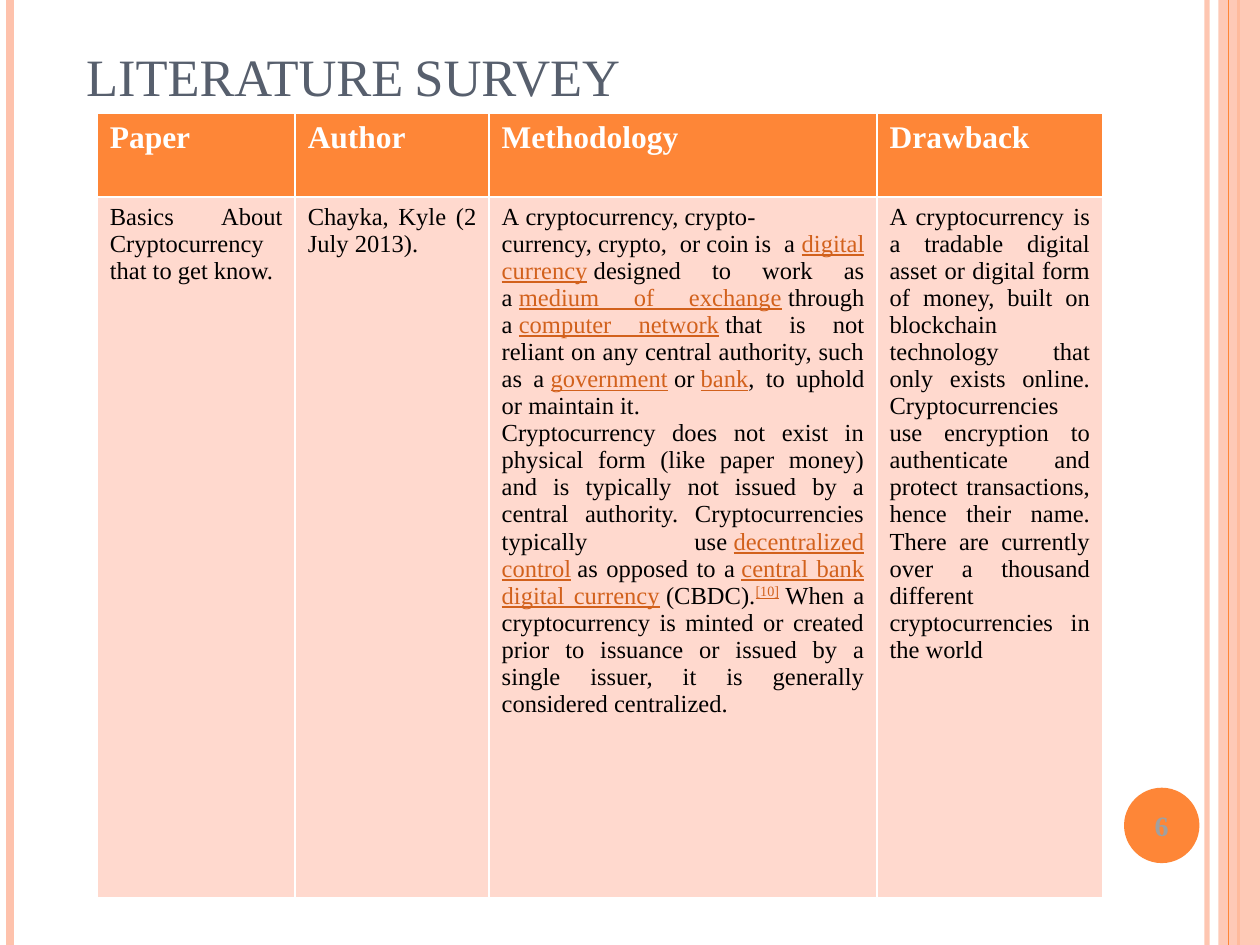
from dataclasses import dataclass

from lxml import etree
from pptx import Presentation
from pptx import util as u
from pptx.dml.color import RGBColor
from pptx.enum import shapes, text
from pptx.oxml.ns import qn

COLORS = {
    "orange": "FE8637", "peach": "FEC2AC", "pale": "FFD9CE", "white": "FFFFFF",
    "black": "000000", "slate": "575F6D", "link": "D2611C", "grey": "A0A0A0",
}
FONT = "Times New Roman"
WIDTH, HEIGHT = u.Cm(25.4), u.Cm(19.05)
HARD_SPACE = chr(160)


@dataclass
class Stripe:
    x: float
    points: float
    color: str
    opacity: int = 100


@dataclass
class Block:
    kind: shapes.MSO_SHAPE
    x: float
    y: float
    w: float
    h: float
    color: str
    opacity: int = 100


@dataclass
class Column:
    """Body paragraphs hold links between pairs of bars; ~ is a hard space."""
    heading: str
    width: float
    body: list[str]


DECORATION = [
    Stripe(24.33, 3, "peach", 93),
    Stripe(0.2, 4.5, "peach"),
    Stripe(24.97, 1.5, "orange"),
    Block(shapes.MSO_SHAPE.RECTANGLE, 24.56, 0, 0.84, 19.05, "peach", 87),
    Stripe(24.77, 0.75, "orange"),
]
BADGE = Block(shapes.MSO_SHAPE.OVAL, 22.66, 15.88, 1.52, 1.52, "orange")

COLUMNS = [
    Column("Paper", 3.99, ["Basics About Cryptocurrency that to get know."]),
    Column("Author", 3.91, ["Chayka, Kyle (2 July 2013)."]),
    Column("Methodology", 7.82, [
        "A~cryptocurrency,~crypto-currency,~crypto, or~coin~is a~|digital currency"
        "|~designed to work as a~|medium of exchange|~through a~|computer network"
        "|~that is not reliant on any central authority, such as a~|government"
        "|~or~|bank|, to uphold or maintain it.",
        "Cryptocurrency does not exist in physical form (like paper money) and is "
        "typically not issued by a central authority. Cryptocurrencies typically "
        "use~|decentralized control|~as opposed to a~|central bank digital currency"
        "|~(CBDC).|[10]|~When a cryptocurrency is minted or created prior to "
        "issuance or issued by a single issuer, it is generally considered "
        "centralized.",
    ]),
    Column("Drawback", 4.55, [
        "A cryptocurrency is a tradable digital asset or digital form of money, "
        "built on blockchain technology that only exists online. Cryptocurrencies "
        "use encryption to authenticate and protect transactions, hence their "
        "name. There are currently over a thousand different cryptocurrencies in "
        "the world",
    ]),
]
ROW_HEIGHTS = [1.68, 14.12]


def rgb(name: str) -> RGBColor:
    return RGBColor.from_string(COLORS[name])


def set_opacity(sp, percent: int) -> None:
    if percent < 100:
        color = next(sp._element.spPr.iter(qn("a:srgbClr")))
        etree.SubElement(color, qn("a:alpha")).set("val", str(percent * 1000))


def add_stripe(slide, stripe: Stripe) -> None:
    x = u.Cm(stripe.x)
    sp = slide.shapes.add_connector(shapes.MSO_CONNECTOR.STRAIGHT, x, 0, x, HEIGHT)
    sp.line.color.rgb = rgb(stripe.color)
    sp.line.width = u.Pt(stripe.points)
    set_opacity(sp, stripe.opacity)
    etree.SubElement(sp._element.spPr, qn("a:effectLst"))


def add_block(slide, block: Block):
    box = (u.Cm(v) for v in (block.x, block.y, block.w, block.h))
    sp = slide.shapes.add_shape(block.kind, *box)
    sp.shadow.inherit = False
    sp.fill.solid()
    sp.fill.fore_color.rgb = rgb(block.color)
    sp.line.fill.background()
    set_opacity(sp, block.opacity)
    return sp


def add_run(p, words: str, size: float, color: str, **formats):
    r = p.add_run()
    r.text = words
    for name, value in {"name": FONT, "size": u.Pt(size), **formats}.items():
        setattr(r.font, name, value)
    r.font.color.rgb = rgb(color)
    return r


def add_linked_text(p, words: str) -> None:
    """Every second part between bars is a link; a bracketed one is raised."""
    for i, part in enumerate(words.replace("~", HARD_SPACE).split("|")):
        if i % 2 == 0:
            add_run(p, part, 14, "black", bold=False)
            continue
        r = add_run(p, part, 14, "link", bold=False, underline=True)
        if part.startswith("["):
            r._r.get_or_add_rPr().set("baseline", "30000")


def fill_cell(cell, color: str) -> None:
    cell.fill.solid()
    cell.fill.fore_color.rgb = rgb(color)


def add_survey_table(slide) -> None:
    """The default table style supplies the white rules between cells."""
    total = u.Cm(sum(c.width for c in COLUMNS))
    table = slide.shapes.add_table(
        len(ROW_HEIGHTS), len(COLUMNS), u.Cm(1.96), u.Cm(2.29),
        total, u.Cm(sum(ROW_HEIGHTS))).table
    for row, height in zip(table.rows, ROW_HEIGHTS):
        row.height = u.Cm(height)
    for i, column in enumerate(COLUMNS):
        table.columns[i].width = u.Cm(column.width)
        head, body = table.cell(0, i), table.cell(1, i)
        fill_cell(head, "orange")
        fill_cell(body, "pale")
        add_run(head.text_frame.paragraphs[0], column.heading, 18, "white", bold=True)
        for n, words in enumerate(column.body):
            tf = body.text_frame
            add_linked_text(tf.add_paragraph() if n else tf.paragraphs[0], words)
        for p in (*head.text_frame.paragraphs, *body.text_frame.paragraphs):
            p.alignment = text.PP_ALIGN.JUSTIFY


def add_title(slide) -> None:
    title = slide.shapes.title
    box = {"left": 1.48, "top": 0.71, "width": 20.75, "height": 1.57}
    for name, value in box.items():
        setattr(title, name, u.Cm(value))
    tf = title.text_frame
    tf.auto_size = text.MSO_AUTO_SIZE.NONE
    tf.vertical_anchor = text.MSO_ANCHOR.BOTTOM
    p = tf.paragraphs[0]
    p.alignment = text.PP_ALIGN.LEFT
    r = add_run(p, "LITERATURE SURVEY", 30, "slate")
    r._r.get_or_add_rPr().set("cap", "small")


def add_page_badge(slide) -> None:
    tf = add_block(slide, BADGE).text_frame
    tf.vertical_anchor = text.MSO_ANCHOR.MIDDLE
    p = tf.paragraphs[0]
    p.alignment = text.PP_ALIGN.CENTER
    add_run(p, "6", 16, "grey", bold=True)


def main() -> None:
    prs = Presentation()
    prs.slide_width, prs.slide_height = WIDTH, HEIGHT
    slide = prs.slides.add_slide(prs.slide_layouts[5])
    for item in DECORATION:
        draw = add_stripe if isinstance(item, Stripe) else add_block
        draw(slide, item)
    add_page_badge(slide)
    add_title(slide)
    add_survey_table(slide)
    prs.save("out.pptx")


if __name__ == "__main__":
    main()
